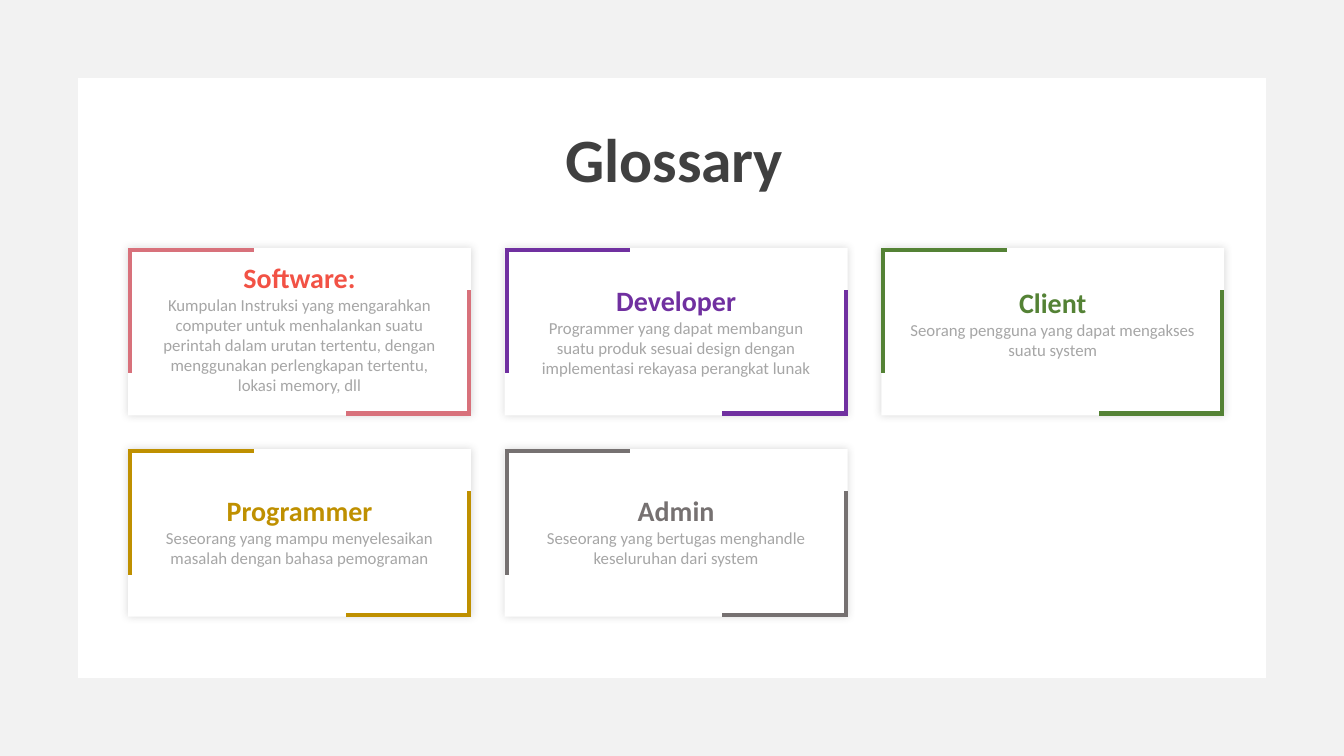
from lxml.etree import SubElement
from pptx import Presentation
from pptx.dml.color import RGBColor
from pptx.enum.shapes import MSO_CONNECTOR, MSO_SHAPE
from pptx.enum.text import MSO_ANCHOR, MSO_AUTO_SIZE, PP_ALIGN
from pptx.oxml.ns import qn
from pptx.util import Cm, Pt

WHITE = RGBColor(0xFF, 0xFF, 0xFF)
FRAME_GRAY = RGBColor(0xF2, 0xF2, 0xF2)
DARK = RGBColor(0x40, 0x40, 0x40)
BODY_GRAY = RGBColor(0xA6, 0xA6, 0xA6)
RED = RGBColor(0xF2, 0x52, 0x45)
ROSE = RGBColor(0xD8, 0x71, 0x7B)
PURPLE = RGBColor(0x70, 0x30, 0xA0)
GREEN = RGBColor(0x54, 0x82, 0x35)
GOLD = RGBColor(0xBF, 0x90, 0x00)
GRAY = RGBColor(0x76, 0x71, 0x71)


def write(box, text, size, color, bold=False):
    frame = box.text_frame
    frame.word_wrap = True
    frame.auto_size = MSO_AUTO_SIZE.NONE
    frame.vertical_anchor = MSO_ANCHOR.TOP
    paragraph = frame.paragraphs[0]
    paragraph.alignment = PP_ALIGN.CENTER
    paragraph.line_spacing = 1.0
    run = paragraph.add_run()
    run.text = text
    run.font.name = "Calibri"
    run.font.size = Pt(size)
    run.font.bold = bold
    run.font.color.rgb = color


def add_box(preset, left, top, width, height, color):
    box = slide.shapes.add_shape(preset, Cm(left), Cm(top), Cm(width), Cm(height))
    box.shadow.inherit = False
    box.fill.solid()
    box.fill.fore_color.rgb = color
    box.line.fill.background()
    return box


prs = Presentation()
prs.slide_width, prs.slide_height = Cm(33.87), Cm(19.05)
slide = prs.slides.add_slide(prs.slide_layouts[5])

# Border around the slide
border = add_box(MSO_SHAPE.FRAME, 0, 0, 33.87, 19.05, FRAME_GRAY)
border.adjustments[0] = 0.103

# Title
title = slide.shapes.title
title.left, title.top, title.width, title.height = Cm(10.9), Cm(2.92), Cm(12.19), Cm(2.13)
write(title, "Glossary", 44, DARK, bold=True)

# Terms: name, meaning, lines of meaning, name offset in card, name colour, accent
terms = [
    ("Software:", "Kumpulan Instruksi yang mengarahkan computer untuk menhalankan suatu "
     "perintah dalam urutan tertentu, dengan menggunakan perlengkapan tertentu, "
     "lokasi memory, dll", 5, 0.18, RED, ROSE),
    ("Developer", "Programmer yang dapat membangun suatu produk sesuai design dengan "
     "implementasi rekayasa perangkat lunak", 3, 0.76, PURPLE, PURPLE),
    ("Client", "Seorang pengguna yang dapat mengakses suatu system", 2, 0.83, GREEN, GREEN),
    ("Programmer", "Seseorang yang mampu menyelesaikan masalah dengan bahasa pemograman",
     2, 0.99, GOLD, GOLD),
    ("Admin", "Seseorang yang bertugas menghandle keseluruhan dari system",
     2, 0.99, GRAY, GRAY),
]
CARD_W, CARD_H = 8.64, 4.22
ACCENT, INSET = 3.16, 0.05
NAME_W, MEANING_W = 7.47, 7.92

for index, (name, meaning, lines, offset, name_color, accent_color) in enumerate(terms):
    row, column = divmod(index, 3)
    left, top = 3.23 + 9.49 * column, 6.25 + 5.07 * row
    right, bottom = left + CARD_W, top + CARD_H

    # Card with a soft shadow
    card = add_box(MSO_SHAPE.RECTANGLE, left, top, CARD_W, CARD_H, WHITE)
    effects = card._element.spPr.find(qn("a:effectLst"))
    glow = SubElement(effects, qn("a:outerShdw"), blurRad=str(Pt(6)), dist="0",
                      algn="ctr", rotWithShape="0")
    glow_color = SubElement(glow, qn("a:srgbClr"), val=str(DARK))
    SubElement(glow_color, qn("a:alpha"), val="20000")

    # Meaning and name
    name_top = top + offset
    meaning_box = slide.shapes.add_textbox(
        Cm(left + (CARD_W - MEANING_W) / 2), Cm(name_top + 0.86),
        Cm(MEANING_W), Cm(0.26 + 0.51 * lines))
    write(meaning_box, meaning, 12, BODY_GRAY)
    name_box = slide.shapes.add_textbox(
        Cm(left + (CARD_W - NAME_W) / 2), Cm(name_top), Cm(NAME_W), Cm(1.12))
    write(name_box, name, 20, name_color, bold=True)

    # Accents in the top left and bottom right corners
    for corner_x, corner_y, inward in ((left, top, 1), (right, bottom, -1)):
        x, y = corner_x + INSET * inward, corner_y + INSET * inward
        for x1, y1, x2, y2 in ((x, corner_y, x, corner_y + ACCENT * inward),
                               (corner_x, y, corner_x + ACCENT * inward, y)):
            accent = slide.shapes.add_connector(
                MSO_CONNECTOR.STRAIGHT, Cm(x1), Cm(y1), Cm(x2), Cm(y2))
            accent.line.color.rgb = accent_color
            accent.line.width = Pt(3)
            SubElement(accent._element.spPr, qn("a:effectLst"))

prs.save("out.pptx")
